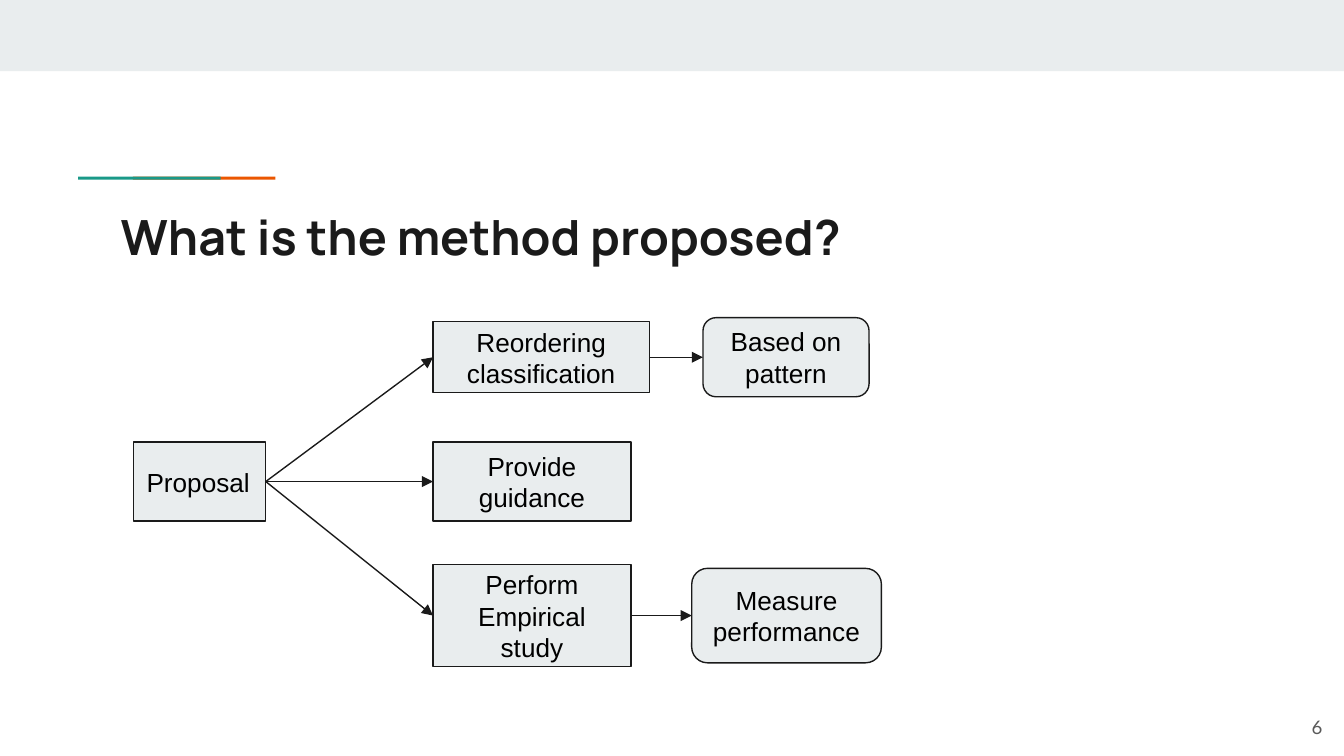
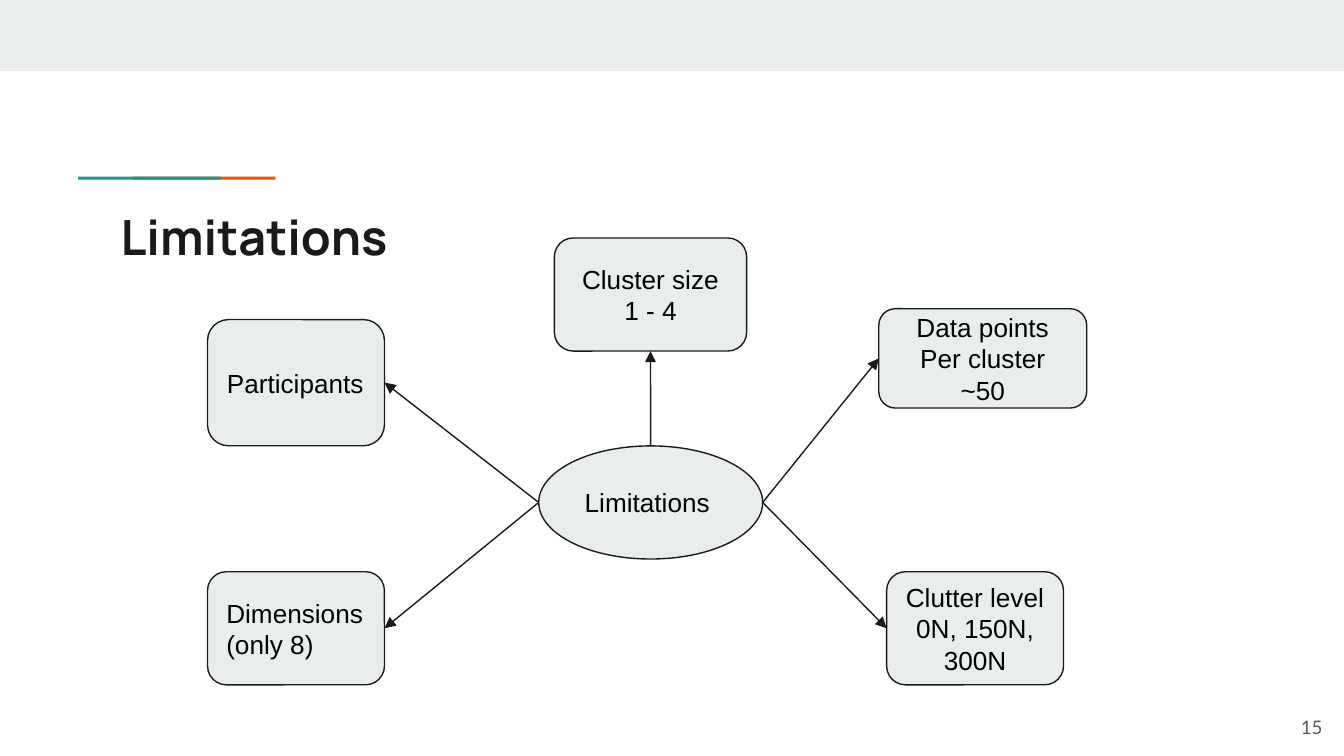
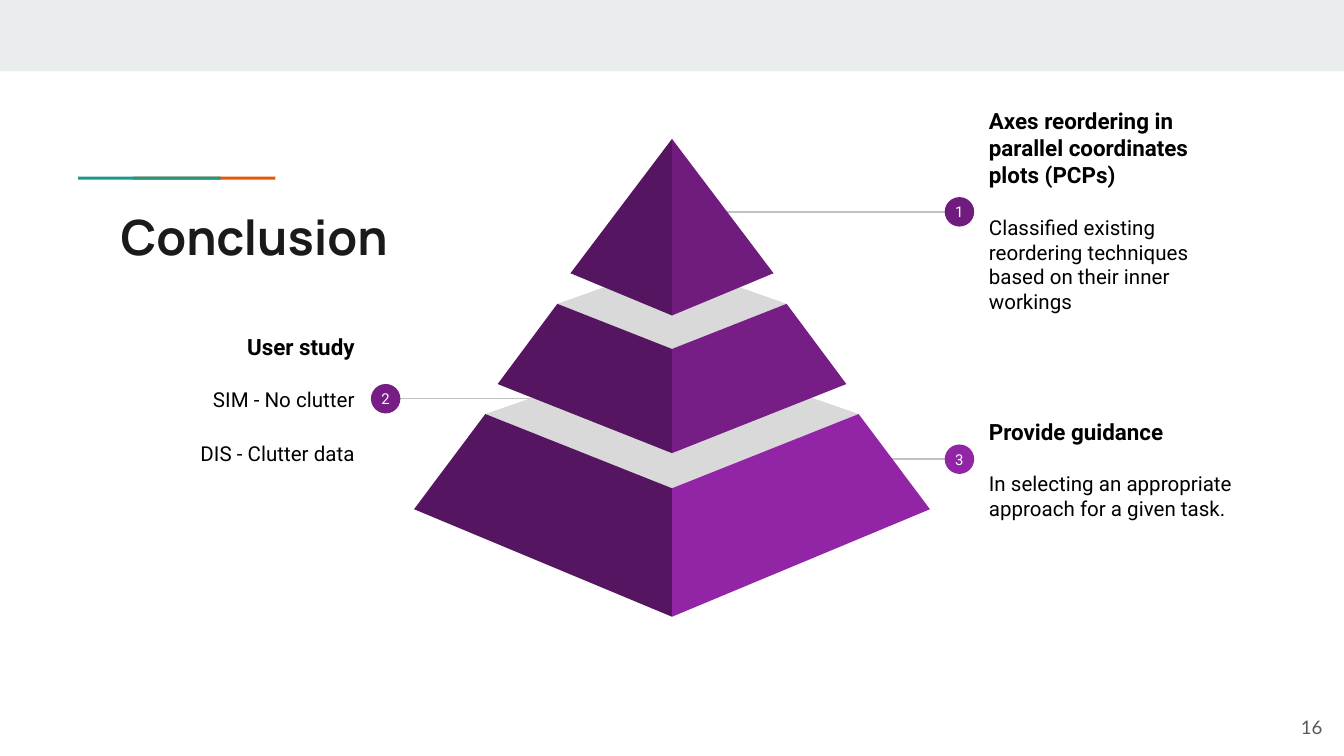
from pptx import Presentation
from pptx.util import Pt
from pptx.dml.color import RGBColor as Rgb
from pptx.enum.shapes import MSO_CONNECTOR as Link, MSO_SHAPE as Form
from pptx.enum.text import MSO_ANCHOR as Anchor, MSO_AUTO_SIZE as Auto, PP_ALIGN as Align
from pptx.oxml.ns import qn
from lxml.etree import SubElement as Sub

HUES = {
    "band": "E9EDEE", "ink": "1A1A1A", "black": "000000", "white": "FFFFFF",
    "gray": "595959", "rule": "C2C2C2", "lid": "D9D9D9", "teal": "1A9988",
    "orange": "EB5600", "dark": "551561", "plum": "701C7F",
    "grape": "761E86", "violet": "9225A5",
}
SIDES = {"top": (0.5, 0), "left": (0, 0.5), "bottom": (0.5, 1), "right": (1, 0.5)}
WIDE, HIGH = 720, 405

# name: form, left, middle, width, height, lines, alignment
METHOD = {
    "goal": (Form.RECTANGLE, 71.4, 258, 71, 42.4, ["Proposal"], Align.LEFT),
    "sort": (Form.RECTANGLE, 232, 191.4, 116, 38, ["Reordering classification"], Align.CENTER),
    "guide": (Form.RECTANGLE, 232, 258, 106, 42.4, ["Provide guidance"], Align.CENTER),
    "study": (Form.RECTANGLE, 232, 329.8, 106, 54.6, ["Perform Empirical study"], Align.CENTER),
    "score": (Form.ROUNDED_RECTANGLE, 370.6, 329.8, 101.6, 50.6, ["Measure performance"], Align.CENTER),
    "base": (Form.ROUNDED_RECTANGLE, 376.6, 191.4, 89, 42.4, ["Based on pattern"], Align.CENTER),
}
STEPS = [
    ("goal", "right", "sort", "left"), ("goal", "right", "guide", "left"),
    ("goal", "right", "study", "left"), ("sort", "right", "base", "left"),
    ("study", "right", "score", "left"),
]
LIMITS = {
    "hub": (Form.OVAL, 288.6, 269.2, 120, 60.6, ["Limitations"], Align.LEFT),
    "people": (Form.ROUNDED_RECTANGLE, 111.2, 205, 94.8, 67.6, ["Participants"], Align.LEFT),
    "dims": (Form.ROUNDED_RECTANGLE, 111.2, 336.6, 94.8, 60.6, ["Dimensions", "(only 8)"], Align.LEFT),
    "size": (Form.ROUNDED_RECTANGLE, 297, 157.8, 103, 60.6, ["Cluster size", "1 - 4"], Align.CENTER),
    "points": (Form.ROUNDED_RECTANGLE, 470.8, 192, 111.4, 53.2, ["Data points", "Per cluster ~50"], Align.CENTER),
    "noise": (Form.ROUNDED_RECTANGLE, 475, 336.6, 94.8, 60.6, ["Clutter level", "0N, 150N, 300N"], Align.CENTER),
}
SPOKES = [
    ("hub", "top", "size", "bottom"), ("hub", "left", "people", "right"),
    ("hub", "right", "points", "left"), ("hub", "left", "dims", "right"),
    ("hub", "right", "noise", "left"),
]
NOTES = [
    {"mark": "3", "hue": "violet", "spot": (514, 246), "edge": 475,
     "box": (522.7, 197, 147, 108.8), "align": Align.LEFT, "head": "Provide guidance",
     "body": [("In selecting an appropriate approach for a given task.", 14.4)]},
    {"mark": "2", "hue": "grape", "spot": (206.6, 213.6), "edge": 286,
     "box": (50.2, 159.2, 147, 109.4), "align": Align.RIGHT, "head": "User study",
     "body": [("SIM - No clutter", 14.4), ("DIS - Clutter data", 16)]},
    {"mark": "1", "hue": "plum", "spot": (514, 113.5), "edge": 386.6,
     "box": (522.7, 58.4, 147, 108.8), "align": Align.LEFT,
     "head": "Axes reordering in parallel coordinates plots (PCPs)",
     "body": [("Classified existing reordering techniques based on their inner workings", 14.4)]},
]
TIERS = [
    {"hue": "violet", "back": 187.2, "top": (100, 221.8, 261.6), "foot": (138.2, 272.8, 330.4)},
    {"hue": "grape", "back": 141, "top": (61.4, 162.8, 187), "foot": (93.4, 205.8, 242.8)},
    {"hue": "plum", "back": None, "top": (0, 74.4, 74.4), "foot": (54.4, 146.4, 169)},
]


def tint(hue):
    return Rgb.from_string(HUES[hue])


def write(frame, text, size=14, font="Arial", hue="black", bold=False, align=Align.LEFT, gap=0):
    para = frame.paragraphs[0]
    if para.runs:
        para = frame.add_paragraph()
    para.alignment = align
    para.space_before = Pt(gap)
    run = para.add_run()
    run.text = text
    run.font.name, run.font.size, run.font.bold = font, Pt(size), bold
    run.font.color.rgb = tint(hue)


def frame_up(shape, inset=7.2, anchor=Anchor.MIDDLE):
    frame = shape.text_frame
    frame.word_wrap = True
    frame.auto_size = Auto.NONE
    frame.vertical_anchor = anchor
    frame.margin_left = frame.margin_right = Pt(inset)
    frame.margin_top = frame.margin_bottom = Pt(inset)
    return frame


def paint(shape, hue, line=None):
    shape.shadow.inherit = False
    shape.fill.solid()
    shape.fill.fore_color.rgb = tint(hue)
    if line:
        shape.line.color.rgb = tint(line)
        shape.line.width = Pt(0.75)
    else:
        shape.line.fill.background()
    return shape


def block(slide, form, spot, hue, line=None):
    return paint(slide.shapes.add_shape(form, *map(Pt, spot)), hue, line)


def label(slide, spot):
    return frame_up(slide.shapes.add_textbox(*map(Pt, spot)))


def rule(slide, start, end, hue, arrow=False):
    line = slide.shapes.add_connector(Link.STRAIGHT, *map(Pt, (*start, *end)))
    line.line.color.rgb = tint(hue)
    line.line.width = Pt(0.75)
    if arrow:
        Sub(line.line._get_or_add_ln(), qn("a:tailEnd"), type="triangle")
    Sub(line._element.spPr, qn("a:effectLst"))


def facet(slide, points, hue):
    first, *rest = [tuple(map(Pt, point)) for point in points]
    form = slide.shapes.build_freeform(*first)
    form.add_line_segments(rest, close=True)
    paint(form.convert_to_shape(), hue)


def start(deck, title, page):
    slide = deck.slides.add_slide(deck.slide_layouts[5])
    block(slide, Form.RECTANGLE, (0, 0, WIDE, 38.2), "band")
    for left, hue in ((71.2, "orange"), (41.8, "teal")):
        block(slide, Form.RECTANGLE, (left, 94.7, 76.4, 1.6), hue)
    head = slide.shapes.title
    head.left, head.top, head.width, head.height = map(Pt, (57.4, 103.6, 605.4, 42.2))
    write(frame_up(head, anchor=Anchor.TOP), title, size=26, font="Manrope", hue="ink", bold=True)
    write(label(slide, (672.4, 373.8, 43.2, 31)), page, size=10, font="Lato",
          hue="gray", align=Align.RIGHT)
    return slide


def chart_flow(slide, nodes, links):
    spots = {}
    for name, (form, left, mid, wide, high, lines, align) in nodes.items():
        spots[name] = left, mid - high / 2, wide, high
        frame = frame_up(block(slide, form, spots[name], "band", "ink"))
        for text in lines:
            write(frame, text, align=align)

    def port(name, side):
        left, top, wide, high = spots[name]
        across, down = SIDES[side]
        return left + wide * across, top + high * down

    for tail, out, head, into in links:
        rule(slide, port(tail, out), port(head, into), "ink", arrow=True)


def add_note(slide, note):
    x, y = note["spot"]
    size = 15.8
    rule(slide, (note["edge"], y), (x, y), "rule")
    frame = label(slide, note["box"])
    write(frame, note["head"], size=12, font="Roboto", bold=True, align=note["align"])
    for text, gap in note["body"]:
        write(frame, text, size=11, font="Roboto", align=note["align"], gap=gap)
    badge = block(slide, Form.OVAL, (x - size / 2, y - size / 2, size, size), note["hue"])
    write(frame_up(badge, inset=0), note["mark"], size=8, font="Roboto",
          hue="white", align=Align.CENTER)


def add_tier(slide, tier):
    mid = WIDE / 2
    half, edge, front = tier["top"]
    base, side, tip = tier["foot"]
    if tier["back"]:
        facet(slide, [(mid - half, edge), (mid, front), (mid + half, edge), (mid, tier["back"])], "lid")
    for sign, hue in ((-1, "dark"), (1, tier["hue"])):
        facet(slide, [(mid + sign * half, edge), (mid + sign * base, side), (mid, tip), (mid, front)], hue)


def main():
    deck = Presentation()
    deck.slide_width, deck.slide_height = Pt(WIDE), Pt(HIGH)
    chart_flow(start(deck, "What is the method proposed?", "6"), METHOD, STEPS)
    chart_flow(start(deck, "Limitations", "15"), LIMITS, SPOKES)
    last = start(deck, "Conclusion", "16")
    for note in NOTES:
        add_note(last, note)
    for tier in TIERS:
        add_tier(last, tier)
    deck.save("out.pptx")


if __name__ == "__main__":
    main()
